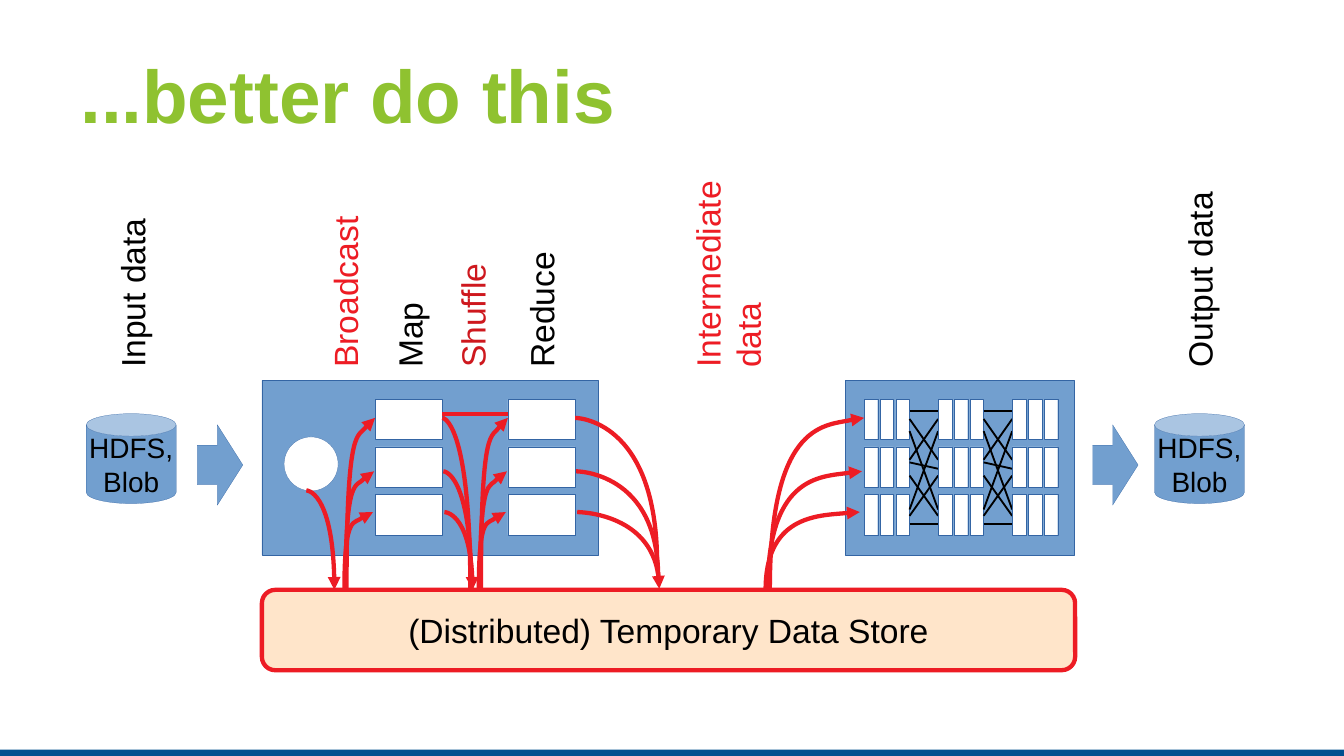
from lxml import etree
from pptx import Presentation
from pptx.dml.color import RGBColor
from pptx.enum.shapes import MSO_CONNECTOR, MSO_SHAPE
from pptx.enum.text import MSO_ANCHOR, PP_ALIGN
from pptx.oxml.ns import qn
from pptx.util import Cm, Pt

RECT = MSO_SHAPE.RECTANGLE
ROUNDED = MSO_SHAPE.ROUNDED_RECTANGLE
OVAL = MSO_SHAPE.OVAL
ARROW = MSO_SHAPE.RIGHT_ARROW
CAN = MSO_SHAPE.CAN
STRAIGHT = MSO_CONNECTOR.STRAIGHT
TOP, MIDDLE = MSO_ANCHOR.TOP, MSO_ANCHOR.MIDDLE
LEFT, CENTER = PP_ALIGN.LEFT, PP_ALIGN.CENTER

BLUE, EDGE, WHITE, BLACK = "729FCF", "3465A4", "FFFFFF", "000000"
RED, DARK_RED, GREEN, NAVY, PEACH = "ED1C24", "CE181E", "8FC230", "00508F", "FFE5CA"

FLOW_WIDTH, HAIRLINE = 2.3, 0.1
PANEL_TOP, PANEL_HEIGHT = 7.19, 3.3
TASK_TOP, TASK_PITCH, TASK_HEIGHT = 7.55, 0.9, 0.76
MAP_LEFT, REDUCE_LEFT, TASK_WIDTH = 7.09, 9.6, 1.27
STORE_TOP = 11.15
FLOW_LEVELS = (7.9, 8.91, 9.68)
LABEL_BOTTOM = 7.2
STAGE_LEFT, STAGE_PITCH = 16.33, 1.4
SLOT_PITCH, SLOT_WIDTH = 0.3, 0.26
MESH_LEVELS = [
    (7.77, 7.77), (7.92, 8.69), (8.15, 9.63), (8.69, 7.92), (8.74, 8.86),
    (9.75, 8.99), (9.63, 8.15), (8.99, 9.75), (9.91, 9.91),
]


def color(value):
    """Turn a hex string into a colour."""
    return RGBColor.from_string(value)


def write(shape, text, size=18, ink=BLACK, bold=False, align=LEFT, anchor=TOP, wrap=True):
    """Fill a shape with formatted text, one paragraph per line."""
    frame = shape.text_frame
    frame.text = text
    frame.word_wrap = wrap
    frame.vertical_anchor = anchor
    for paragraph in frame.paragraphs:
        paragraph.alignment = align
        font = paragraph.font
        font.name, font.size, font.bold = "Arial", Pt(size), bold
        font.color.rgb = color(ink)


def add_block(slide, kind, left, top, width, height, fill=BLUE, edge=EDGE, edge_width=HAIRLINE):
    """Add a filled preset shape with an outline."""
    block = slide.shapes.add_shape(kind, Cm(left), Cm(top), Cm(width), Cm(height))
    block.shadow.inherit = False
    block.fill.solid()
    block.fill.fore_color.rgb = color(fill)
    block.line.color.rgb = color(edge)
    block.line.width = Pt(edge_width)
    return block


def add_line(slide, start, end, ink, width):
    """Add a straight line between two points."""
    line = slide.shapes.add_connector(STRAIGHT, *(Cm(v) for v in start + end))
    line.line.color.rgb = color(ink)
    line.line.width = Pt(width)
    etree.SubElement(line._element.spPr, qn("a:effectLst"))


def add_curve(slide, start, end, arrow=None):
    """Add a red curve that leaves vertically and bends into its end."""
    builder = slide.shapes.build_freeform(Cm(start[0]), Cm(start[1]))
    builder.add_line_segments([(Cm(end[0]), Cm(end[1]))], close=False)
    curve = builder.convert_to_shape()
    curve.shadow.inherit = False
    curve.fill.background()
    curve.line.color.rgb = color(RED)
    curve.line.width = Pt(FLOW_WIDTH)
    properties = curve._element.spPr
    origin, target = properties.iter(qn("a:pt"))
    segment = target.getparent()
    segment.tag = qn("a:cubicBezTo")
    segment.insert(0, segment.makeelement(qn("a:pt"), x=origin.get("x"), y=target.get("y")))
    segment.insert(1, segment.makeelement(qn("a:pt"), dict(target.attrib)))
    if arrow:
        etree.SubElement(properties.find(qn("a:ln")), qn(f"a:{arrow}"), type="triangle")


def add_fan(slide, store_x, task_x, drift, to_tasks, store_ys=(STORE_TOP,) * 3):
    """Link the data store with three tasks, in either direction."""
    for row, (store_y, level) in enumerate(zip(store_ys, FLOW_LEVELS)):
        shift = drift * row
        arrow = "tailEnd" if to_tasks else "headEnd" if row == 2 else None
        add_curve(slide, (store_x + shift, store_y), (task_x + shift, level), arrow)


def add_tasks(slide, left, width):
    """Add a column of three white task boxes."""
    for row in range(3):
        add_block(slide, RECT, left, TASK_TOP + row * TASK_PITCH, width, TASK_HEIGHT, fill=WHITE)


def add_label(slide, text, left, length, thickness=1.02, ink=BLACK):
    """Add a label that reads upwards from the common baseline."""
    box = slide.shapes.add_textbox(
        Cm(left + (thickness - length) / 2), Cm(LABEL_BOTTOM - (length + thickness) / 2),
        Cm(length), Cm(thickness))
    box.rotation = 270
    write(box, text, ink=ink)


def add_storage(slide, left):
    """Add a storage cylinder."""
    storage = add_block(slide, CAN, left, 7.82, 1.7, 1.7)
    write(storage, "HDFS,\nBlob", size=15, align=CENTER, anchor=MIDDLE, wrap=False)


def add_step_arrow(slide, left):
    """Add a block arrow between storage and job."""
    arrow = add_block(slide, ARROW, left, 8.03, 0.86, 1.52)
    arrow.adjustments[0], arrow.adjustments[1] = 0.49, 0.56


def add_second_job(slide):
    """Add the job panel with three stages and the meshes between them."""
    add_block(slide, RECT, 15.98, PANEL_TOP, 4.32, PANEL_HEIGHT)
    for stage in range(3):
        left = STAGE_LEFT + stage * STAGE_PITCH
        for slot in range(3):
            add_tasks(slide, left + slot * SLOT_PITCH, SLOT_WIDTH)
        if stage < 2:
            mesh_left = left + 2 * SLOT_PITCH + SLOT_WIDTH
            for left_y, right_y in MESH_LEVELS:
                add_line(slide, (mesh_left, left_y), (left + STAGE_PITCH, right_y), BLACK, 1)


def main():
    """Build the slide and save it."""
    deck = Presentation()
    deck.slide_width, deck.slide_height = Cm(25.4), Cm(14.29)
    slide = deck.slides.add_slide(deck.slide_layouts[6])

    footer = add_block(slide, RECT, 0, 14.17, 25.4, 0.12, fill=NAVY)
    footer.line.fill.background()
    title = slide.shapes.add_textbox(Cm(1.27), Cm(0.58), Cm(22.86), Cm(2.39))
    write(title, "...better do this", size=40, ink=GREEN, bold=True, anchor=MIDDLE)

    add_block(slide, RECT, 4.95, PANEL_TOP, 6.35, PANEL_HEIGHT)
    add_block(slide, OVAL, 5.37, 8.26, 1.02, 1.02, fill=WHITE)
    for left in (MAP_LEFT, REDUCE_LEFT):
        add_tasks(slide, left, TASK_WIDTH)
    store = add_block(slide, ROUNDED, 4.95, STORE_TOP, 15.37, 1.52, PEACH, RED, FLOW_WIDTH)
    write(store, "(Distributed) Temporary Data Store", align=CENTER, anchor=MIDDLE, wrap=False)

    add_second_job(slide)
    for left in (1.63, 21.82):
        add_storage(slide, left)
    for left in (3.73, 20.65):
        add_step_arrow(slide, left)

    add_curve(slide, (6.32, STORE_TOP), (5.79, 9.27), "headEnd")
    add_fan(slide, 6.55, MAP_LEFT, -0.02, True)
    add_fan(slide, 8.89, MAP_LEFT + TASK_WIDTH, 0.02, False)
    add_fan(slide, 9.09, REDUCE_LEFT, -0.02, True)
    add_fan(slide, 12.42, REDUCE_LEFT + TASK_WIDTH, 0.02, False, (10.67, 10.92, 11.13))
    add_fan(slide, 14.55, STAGE_LEFT, -0.04, True)
    add_line(slide, (MAP_LEFT + TASK_WIDTH, 7.82), (REDUCE_LEFT, 7.82), RED, FLOW_WIDTH)

    add_label(slide, "Input data", 1.99, 3.43)
    add_label(slide, "Broadcast", 6.01, 3.89, 1.68, RED)
    add_label(slide, "Map", 7.23, 3.43)
    add_label(slide, "Shuffle", 8.42, 3.43, ink=DARK_RED)
    add_label(slide, "Reduce", 9.72, 3.43)
    add_label(slide, "Intermediate data", 12.86, 4.14, 1.68, RED)
    add_label(slide, "Output data", 22.16, 4.14, 1.68)

    deck.save("out.pptx")


if __name__ == "__main__":
    main()
